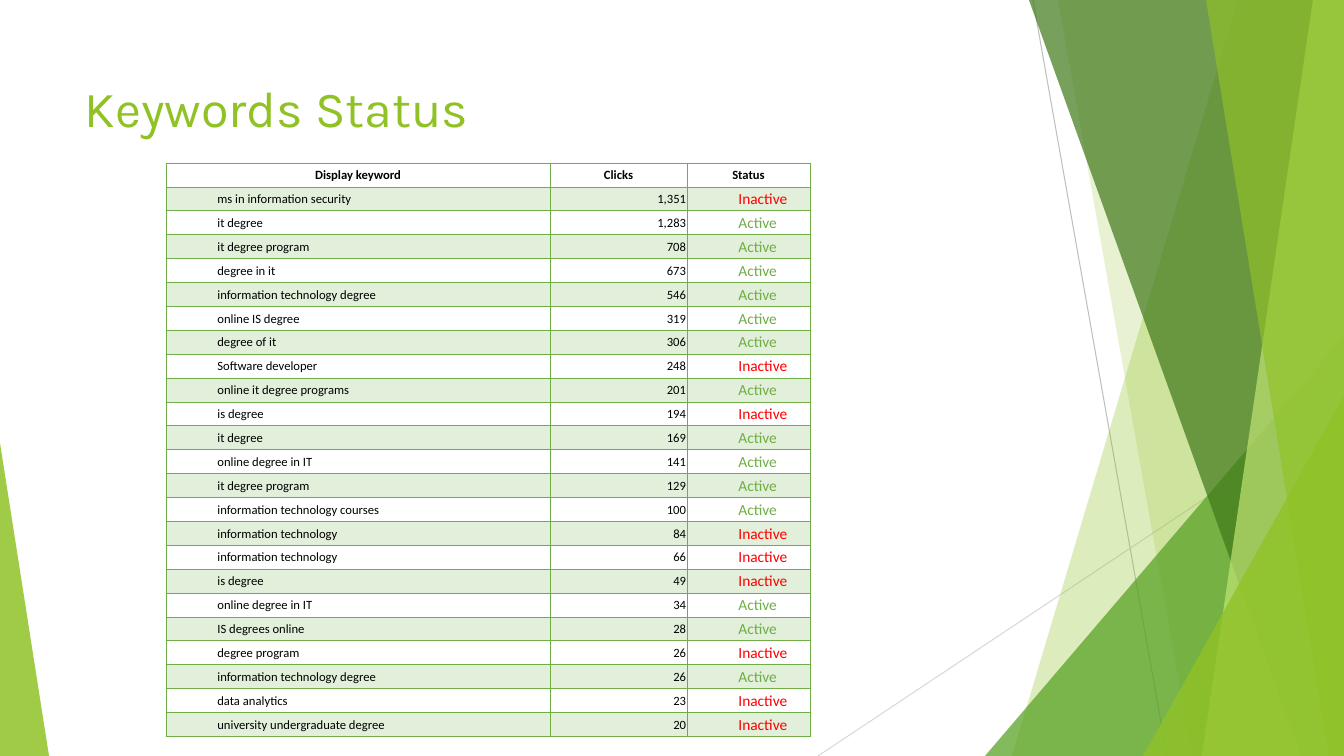
from dataclasses import dataclass

from lxml import etree
from pptx import Presentation
from pptx.dml.color import RGBColor
from pptx.enum.shapes import MSO_CONNECTOR, MSO_SHAPE
from pptx.enum.text import MSO_ANCHOR, PP_ALIGN
from pptx.oxml.ns import qn
from pptx.util import Pt

STRAIGHT = MSO_CONNECTOR.STRAIGHT
TRIANGLE = MSO_SHAPE.ISOSCELES_TRIANGLE
MIDDLE = MSO_ANCHOR.MIDDLE
LEFT, CENTER, RIGHT = PP_ALIGN.LEFT, PP_ALIGN.CENTER, PP_ALIGN.RIGHT
EMU_PER_PX = 914400 / 100.8
SLIDE_WIDTH, SLIDE_HEIGHT = 1344, 756


@dataclass(frozen=True)
class Theme:
    lime: str = "90C226"
    pale_lime: str = "C0E474"
    green: str = "54A021"
    forest: str = "3F7819"
    grey: str = "BFBFBF"
    light_grey: str = "D9D9D9"
    grid: str = "70AD47"
    band: str = "E2EFDA"
    ink: str = "000000"
    active: str = "70AD47"
    inactive: str = "FF0000"
    title_font: str = "Karla"
    table_font: str = "Calibri"
    title_size: float = 36
    table_size: float = 9
    status_size: float = 11
    line_width: float = 0.75
    grid_width: float = 0.5


THEME = Theme()

HEADINGS = ("Display keyword", "Clicks", "Status")
KEYWORDS = [
    ("ms in information security", "1,351", "Inactive"),
    ("it degree", "1,283", "Active"),
    ("it degree program", "708", "Active"),
    ("degree in it", "673", "Active"),
    ("information technology degree", "546", "Active"),
    ("online IS degree", "319", "Active"),
    ("degree of it", "306", "Active"),
    ("Software developer", "248", "Inactive"),
    ("online it degree programs", "201", "Active"),
    ("is degree", "194", "Inactive"),
    ("it degree", "169", "Active"),
    ("online degree in IT", "141", "Active"),
    ("it degree program", "129", "Active"),
    ("information technology courses", "100", "Active"),
    ("information technology", "84", "Inactive"),
    ("information technology", "66", "Inactive"),
    ("is degree", "49", "Inactive"),
    ("online degree in IT", "34", "Active"),
    ("IS degrees online", "28", "Active"),
    ("degree program", "26", "Inactive"),
    ("information technology degree", "26", "Active"),
    ("data analytics", "23", "Inactive"),
    ("university undergraduate degree", "20", "Inactive"),
]


def px(length):
    return round(length * EMU_PER_PX)


def rgb(color):
    return RGBColor.from_string(color)


def paint(shape, color, opacity):
    shape.shadow.inherit = False
    shape.line.fill.background()
    shape.fill.solid()
    shape.fill.fore_color.rgb = rgb(color)
    tint = shape.fill._xPr.find(qn("a:solidFill"))[0]
    etree.SubElement(tint, qn("a:alpha")).set("val", str(opacity * 1000))


def style_run(paragraph, font, size, color, bold=False):
    face = paragraph.runs[0].font
    face.name, face.size, face.bold = font, Pt(size), bold
    face.color.rgb = rgb(color)


def add_hairline(slide, start, end, color):
    hairline = slide.shapes.add_connector(STRAIGHT, *map(px, start + end))
    hairline.line.color.rgb = rgb(color)
    hairline.line.width = Pt(THEME.line_width)
    etree.SubElement(hairline._element.spPr, qn("a:effectLst"))


def add_facet(slide, box, top_x, bottom_x, color, opacity):
    left, top, width, height = box
    right, bottom = left + width, top + height
    outline = slide.shapes.build_freeform(left + top_x, top, EMU_PER_PX)
    outline.add_line_segments([(right, top), (right, bottom), (left + bottom_x, bottom)])
    paint(outline.convert_to_shape(), color, opacity)


def add_wedge(slide, box, apex, color, opacity):
    wedge = slide.shapes.add_shape(TRIANGLE, *map(px, box))
    wedge.adjustments[0] = apex
    paint(wedge, color, opacity)


def add_right_decoration(slide, box):
    left, top, width, height = box
    right, bottom = left + width, top + height

    def corner_wedge(wedge_width, wedge_height, color, opacity):
        wedge_box = (right - wedge_width, bottom - wedge_height, wedge_width, wedge_height)
        add_wedge(slide, wedge_box, 1, color, opacity)

    add_hairline(slide, (left + 215, top), (left + 349, bottom), THEME.grey)
    add_hairline(slide, (right, top + 406), (left, bottom), THEME.light_grey)
    add_facet(slide, box, 420, 194, THEME.lime, 30)
    add_facet(slide, box, 240, 374, THEME.lime, 20)
    corner_wedge(359, 420, THEME.green, 72)
    add_facet(slide, box, 211, 483, THEME.forest, 70)
    add_facet(slide, box, 495, 384, THEME.pale_lime, 70)
    add_facet(slide, box, 388, 511, THEME.lime, 65)
    corner_wedge(201, 360, THEME.lime, 80)


def add_title(slide, box):
    frame = slide.shapes.add_textbox(*map(px, box)).text_frame
    frame.word_wrap = True
    frame.vertical_anchor = MIDDLE
    frame.text = "Keywords Status"
    style_run(frame.paragraphs[0], THEME.title_font, THEME.title_size, THEME.lime)


def add_borders(cell):
    properties = cell._tc.get_or_add_tcPr()
    for side in ("lnL", "lnR", "lnT", "lnB"):
        border = etree.SubElement(properties, qn(f"a:{side}"), w=str(Pt(THEME.grid_width)))
        fill = etree.SubElement(border, qn("a:solidFill"))
        etree.SubElement(fill, qn("a:srgbClr"), val=THEME.grid)


def fill_cell(cell, text, align, level, size, color, bold, banded):
    cell.margin_left = cell.margin_top = cell.margin_right = px(1)
    cell.margin_bottom = 0
    cell.vertical_anchor = MIDDLE
    cell.text_frame.text = text
    paragraph = cell.text_frame.paragraphs[0]
    paragraph.alignment = align
    paragraph.level = level
    indent = paragraph._p.get_or_add_pPr()
    indent.set("marL", str(level * 457200))
    indent.set("indent", "0")
    style_run(paragraph, THEME.table_font, size, color, bold)
    add_borders(cell)
    if banded:
        cell.fill.solid()
        cell.fill.fore_color.rgb = rgb(THEME.band)
    else:
        cell.fill.background()


def add_keyword_table(slide, box):
    row_count = len(KEYWORDS) + 1
    table = slide.shapes.add_table(row_count, len(HEADINGS), *map(px, box)).table
    table.first_row = table.horz_banding = False
    for column, width in zip(table.columns, (384, 137, 123)):
        column.width = px(width)
    for row in table.rows:
        row.height = px(box[3] / row_count)
    for column, heading in enumerate(HEADINGS):
        fill_cell(table.cell(0, column), heading, CENTER, 0,
                  THEME.table_size, THEME.ink, True, False)
    for row, (keyword, clicks, status) in enumerate(KEYWORDS, 1):
        status_color = THEME.active if status == "Active" else THEME.inactive
        entries = (
            (keyword, LEFT, 1, THEME.table_size, THEME.ink),
            (clicks, RIGHT, 2, THEME.table_size, THEME.ink),
            (status, LEFT, 1, THEME.status_size, status_color),
        )
        for column, entry in enumerate(entries):
            fill_cell(table.cell(row, column), *entry, False, row % 2 == 1)


def main():
    deck = Presentation()
    deck.slide_width, deck.slide_height = px(SLIDE_WIDTH), px(SLIDE_HEIGHT)
    slide = deck.slides.add_slide(deck.slide_layouts[6])
    add_right_decoration(slide, (818, 0, 526, SLIDE_HEIGHT))
    add_wedge(slide, (0, 443, 49, 313), 0, THEME.lime, 85)
    add_title(slide, (75, 67, 948, 80))
    add_keyword_table(slide, (166, 163, 644, 574))
    deck.save("out.pptx")


if __name__ == "__main__":
    main()
